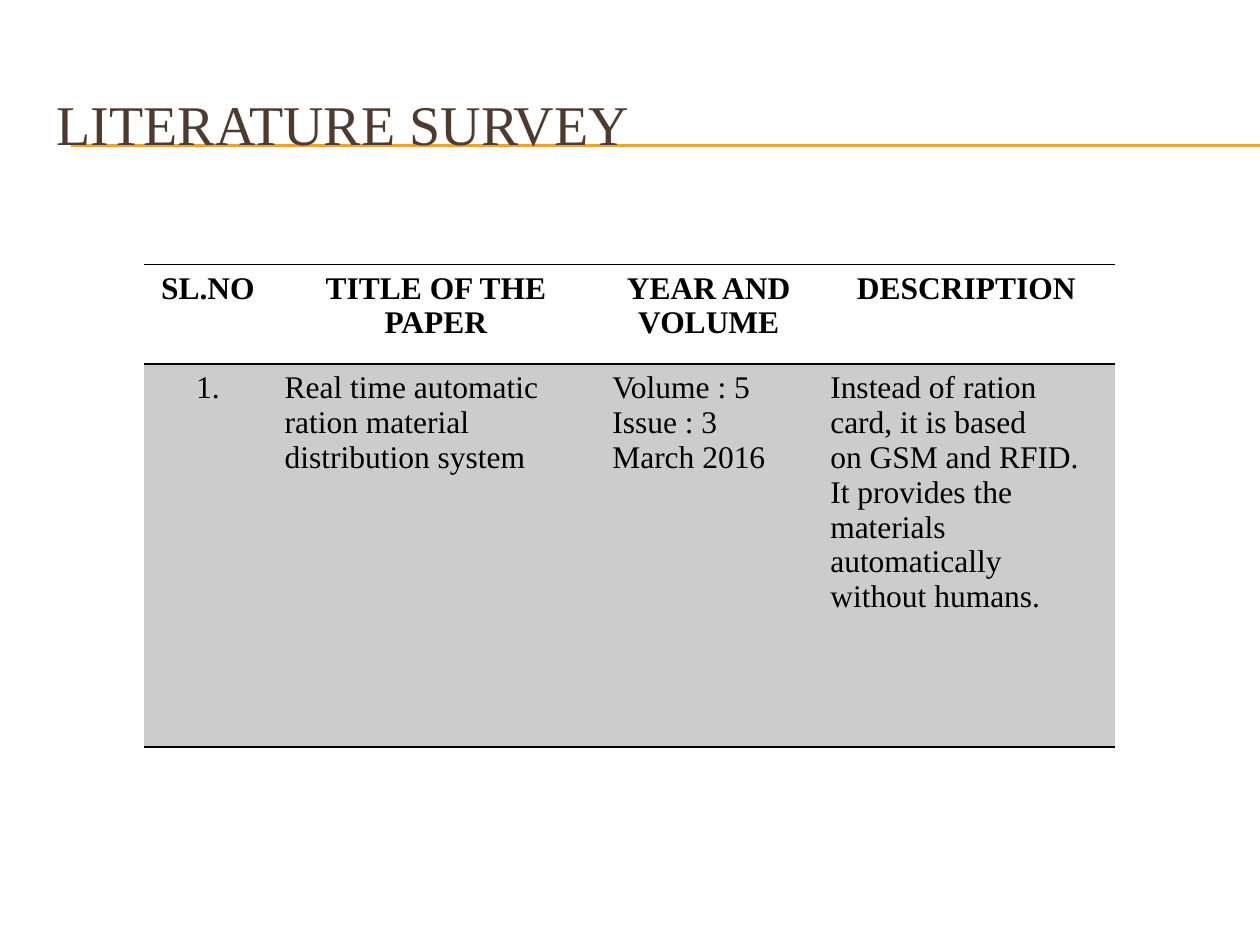
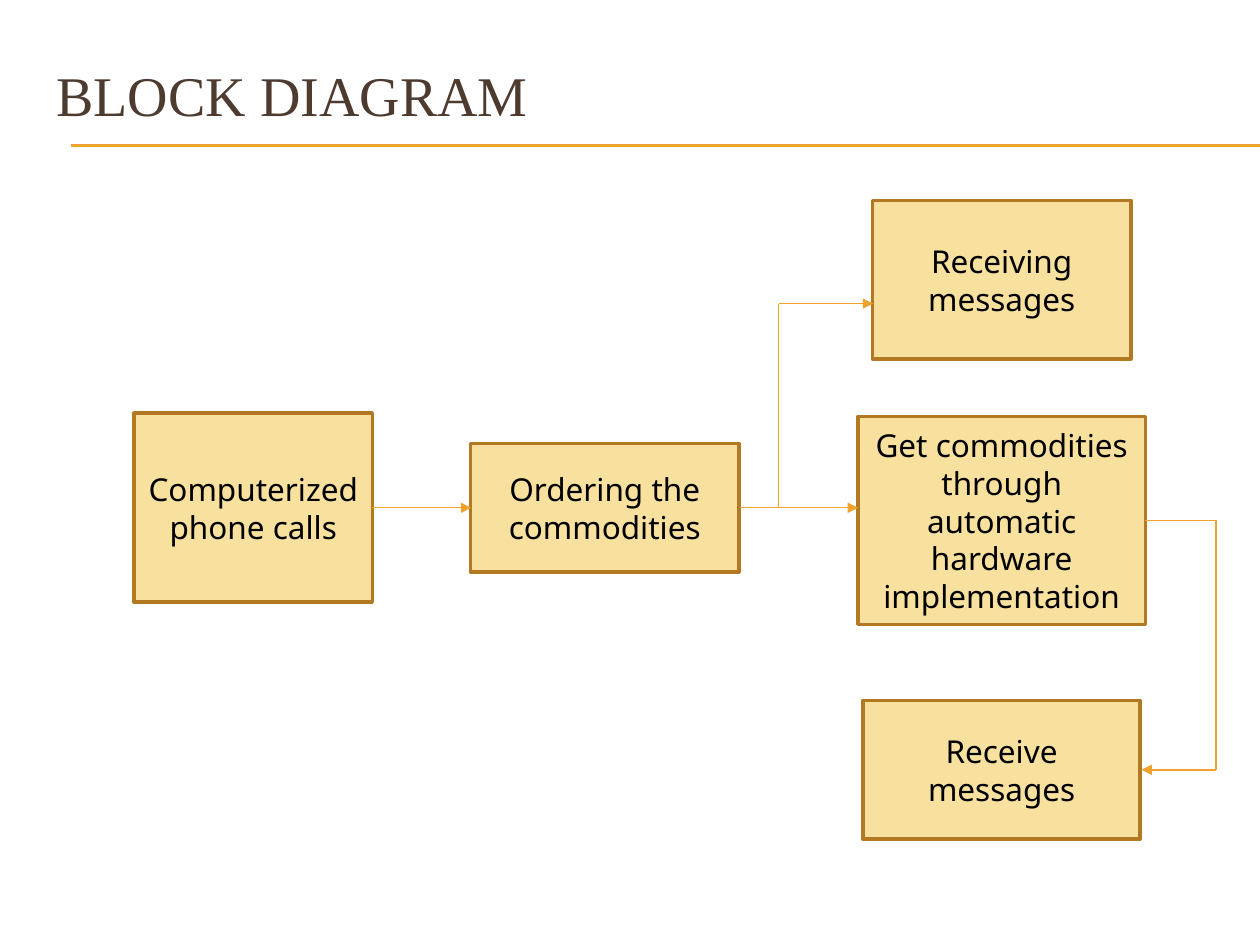
"""Build a literature survey slide and a block diagram slide."""
import pptx
import pptx.util
import pptx.dml.color
import pptx.enum.shapes
import pptx.enum.text
import pptx.oxml.ns
from lxml import etree

COLORS = {"rule": "F0A22E", "title": "4E3B30", "text": "000000",
          "band": "CCCCCC", "box": "F8E19F", "edge": "B27822"}
SERIF, SANS = "Times New Roman", "Noto Sans"
WIDTH, HEIGHT = 10, 7.5
CENTER = pptx.enum.text.PP_ALIGN.CENTER
LEFT = pptx.enum.text.PP_ALIGN.LEFT
MIDDLE = pptx.enum.text.MSO_ANCHOR.MIDDLE
inch = pptx.util.Inches


def rgb(name):
    return pptx.dml.color.RGBColor.from_string(COLORS[name])


def sub(parent, tag, **attrs):
    return etree.SubElement(parent, pptx.oxml.ns.qn(tag), **attrs)


def write(tf, lines, size, font, color="text", bold=False, align=LEFT):
    tf.word_wrap = True
    for i, line in enumerate(lines):
        p = tf.paragraphs[0] if i == 0 else tf.add_paragraph()
        p.alignment = align
        r = p.add_run()
        r.text = line
        r.font.size = pptx.util.Pt(size)
        r.font.name = font
        r.font.bold = bold
        r.font.color.rgb = rgb(color)


def add_line(s, start, end, width=0.79, arrow=False):
    c = s.shapes.add_connector(pptx.enum.shapes.MSO_CONNECTOR.STRAIGHT,
                               *map(inch, start + end))
    c.line.color.rgb = rgb("rule")
    c.line.width = pptx.util.Pt(width)
    if arrow:
        sub(c.line._get_or_add_ln(), "a:tailEnd", type="triangle")
    sub(c._element.spPr, "a:effectLst")


def add_path(s, *points):
    last = len(points) - 2
    for i, (start, end) in enumerate(zip(points, points[1:])):
        add_line(s, start, end, arrow=i == last)


def add_titled_slide(prs, title, top):
    s = prs.slides.add_slide(prs.slide_layouts[6])
    for y in (1.15, 1.15, 1.16):
        add_line(s, (0.56, y), (WIDTH, y), 0.75)
    sp = s.shapes.add_textbox(*map(inch, (0.35, top, 9.5, 0.92)))
    sp.text_frame.vertical_anchor = MIDDLE
    write(sp.text_frame, [title], 32, SERIF, "title")
    return s


def set_borders(cell, ruled):
    tc_pr = cell._tc.get_or_add_tcPr()
    for side in "LRTB":
        ln = sub(tc_pr, f"a:ln{side}", w=str(pptx.util.Pt(1)))
        if side in ruled:
            fill = sub(ln, "a:solidFill")
            sub(fill, "a:srgbClr", val=COLORS["text"])
        else:
            sub(ln, "a:noFill")


def add_table(s, left, top, widths, heights, rows):
    frame = s.shapes.add_table(len(rows), len(widths), inch(left), inch(top),
                               inch(sum(widths)), inch(sum(heights)))
    table = frame.table
    table.first_row = table.horz_banding = False
    for col, width in zip(table.columns, widths):
        col.width = inch(width)
    for i, (row, height, texts) in enumerate(zip(table.rows, heights, rows)):
        row.height = inch(height)
        for j, (cell, lines) in enumerate(zip(row.cells, texts)):
            header = i == 0
            write(cell.text_frame, lines, 18, SERIF, bold=header,
                  align=CENTER if header or j == 0 else LEFT)
            set_borders(cell, "TB")
            if header:
                cell.fill.background()
            else:
                cell.fill.solid()
                cell.fill.fore_color.rgb = rgb("band")


def add_box(s, text, center, size):
    (x, y), (w, h) = center, size
    sp = s.shapes.add_shape(pptx.enum.shapes.MSO_SHAPE.RECTANGLE,
                            *map(inch, (x - w / 2, y - h / 2, w, h)))
    sp.shadow.inherit = False
    sp.fill.solid()
    sp.fill.fore_color.rgb = rgb("box")
    sp.line.color.rgb = rgb("edge")
    sp.line.width = pptx.util.Pt(2)
    sp.text_frame.vertical_anchor = MIDDLE
    write(sp.text_frame, [text], 18, SANS, align=CENTER)


def build_survey(prs):
    s = add_titled_slide(prs, "LITERATURE SURVEY", 0.52)
    add_table(s, 1.14, 2.1, (1.02, 2.6, 1.73, 2.36), (0.79, 3.04), [
        [["SL.NO"], ["TITLE OF THE PAPER"], ["YEAR AND VOLUME"],
         ["DESCRIPTION"]],
        [["1."],
         ["Real time automatic ration material distribution system"],
         ["Volume : 5", "Issue : 3", "March 2016"],
         ["Instead of ration card, it is based",
          "on GSM and RFID. It provides the materials automatically "
          "without humans."]],
    ])


def build_diagram(prs):
    s = add_titled_slide(prs, "BLOCK DIAGRAM", 0.29)
    row, right = 4.03, 7.95
    add_box(s, "Computerized phone calls", (2.01, row), (1.89, 1.5))
    add_box(s, "Ordering the commodities", (4.8, row), (2.13, 1.02))
    add_box(s, "Receiving messages", (right, 2.22), (2.05, 1.26))
    add_box(s, "Get commodities through automatic hardware implementation",
            (right, 4.13), (2.28, 1.65))
    add_box(s, "Receive messages", (right, 6.11), (2.2, 1.1))
    add_path(s, (2.95, row), (3.74, row))
    add_path(s, (5.87, row), (6.81, row))
    add_path(s, (6.18, row), (6.18, 2.41), (6.93, 2.41))
    add_path(s, (9.09, 4.13), (9.65, 4.13), (9.65, 6.11), (9.06, 6.11))


def main():
    prs = pptx.Presentation()
    prs.slide_width, prs.slide_height = inch(WIDTH), inch(HEIGHT)
    build_survey(prs)
    build_diagram(prs)
    prs.save("out.pptx")


main()
